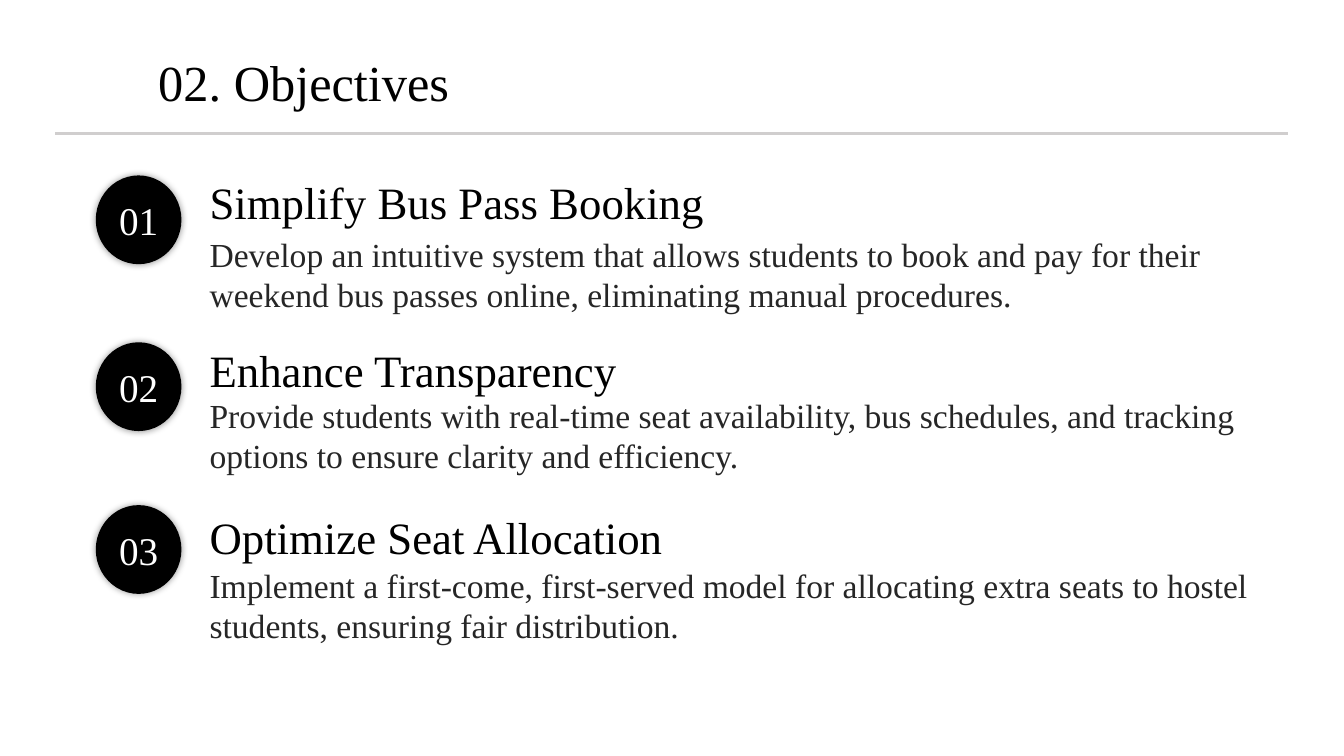
from lxml import etree
from pptx import Presentation
from pptx import util as u
from pptx.dml.color import RGBColor
from pptx.enum import shapes, text
from pptx.oxml.ns import qn

FONT = "Times New Roman"
BLACK, WHITE, DARK_GREY, RULE_GREY = "000000", "FFFFFF", "262626", "D0CECE"
SLIDE_WIDTH, SLIDE_HEIGHT = 960, 540
ITEM_PITCH = 119.9

# number, heading, description, badge offset, description offset
OBJECTIVES = [
    ("01", "Simplify Bus Pass Booking",
     "Develop an intuitive system that allows students to book and pay for their "
     "weekend bus passes online, eliminating manual procedures.", 4.3, 42.5),
    ("02", "Enhance Transparency",
     "Provide students with real-time seat availability, bus schedules, and tracking "
     "options to ensure clarity and efficiency.", 3.6, 37.4),
    ("03", "Optimize Seat Allocation",
     "Implement a first-come, first-served model for allocating extra seats to hostel "
     "students, ensuring fair distribution.", 0, 38.9),
]


def colour(value):
    return RGBColor.from_string(value)


def points(*values):
    return [u.Pt(value) for value in values]


def write(shape, words, size, hex_colour, align=text.PP_ALIGN.LEFT,
          anchor=text.MSO_ANCHOR.TOP, inset=(7.2, 3.6)):
    frame = shape.text_frame
    side, top = points(*inset)
    frame_format = {"word_wrap": True, "vertical_anchor": anchor,
                    "auto_size": text.MSO_AUTO_SIZE.NONE,
                    "margin_left": side, "margin_right": side,
                    "margin_top": top, "margin_bottom": top}
    for name, value in frame_format.items():
        setattr(frame, name, value)
    paragraph = frame.paragraphs[0]
    paragraph.alignment = align
    run = paragraph.add_run()
    run.text = words
    for name, value in {"name": FONT, "size": u.Pt(size)}.items():
        setattr(run.font, name, value)
    run.font.color.rgb = colour(hex_colour)


def add_glow_shadow(shape):
    shape.shadow.inherit = False
    effects = shape.element.spPr.find(qn("a:effectLst"))
    shadow = etree.SubElement(effects, qn("a:outerShdw"), blurRad=str(u.Pt(5)),
                              dist="0", dir="0", algn="ctr", rotWithShape="0")
    shade = etree.SubElement(shadow, qn("a:srgbClr"), val=BLACK)
    etree.SubElement(shade, qn("a:alpha"), val="40000")


def add_header(slide, left, top, width, height):
    # Title
    title = slide.shapes.title
    box = points(left + 66.2, top, 447, height - 10.9)
    for name, value in zip(("left", "top", "width", "height"), box):
        setattr(title, name, value)
    write(title, "02. Objectives", 36, BLACK)

    # Rule under the title
    bottom = top + height
    rule = slide.shapes.add_connector(shapes.MSO_CONNECTOR.STRAIGHT,
                                      *points(left, bottom, left + width, bottom))
    rule.line.color.rgb = colour(RULE_GREY)
    rule.line.width = u.Pt(2.25)
    etree.SubElement(rule.element.spPr, qn("a:effectLst"))


def add_objective(slide, left, top, width, objective):
    number, heading, description, badge_offset, description_offset = objective
    text_left, text_width = left + 74.2, width - 74.2

    # Numbered badge
    badge = slide.shapes.add_shape(shapes.MSO_SHAPE.OVAL,
                                   *points(left, top + badge_offset, 61.2, 63.4))
    badge.fill.solid()
    badge.fill.fore_color.rgb = colour(BLACK)
    badge.line.fill.background()
    add_glow_shadow(badge)
    write(badge, number, 28, WHITE, text.PP_ALIGN.CENTER,
          text.MSO_ANCHOR.MIDDLE, (0, 0))

    # Heading and description
    for words, offset, height, size, hex_colour in (
            (heading, 0, 46, 32, BLACK),
            (description, description_offset, 65.5, 24, DARK_GREY)):
        box = slide.shapes.add_textbox(
            *points(text_left, top + offset, text_width, height))
        write(box, words, size, hex_colour)


def main():
    presentation = Presentation()
    presentation.slide_width, presentation.slide_height = points(SLIDE_WIDTH, SLIDE_HEIGHT)
    slide = presentation.slides.add_slide(presentation.slide_layouts[5])
    slide.background.fill.solid()
    slide.background.fill.fore_color.rgb = colour(WHITE)

    add_header(slide, 39.6, 33.1, 880.6, 62)
    for index, objective in enumerate(OBJECTIVES):
        add_objective(slide, 68.4, 121 + index * ITEM_PITCH, 851.8, objective)
    presentation.save("out.pptx")


if __name__ == "__main__":
    main()
